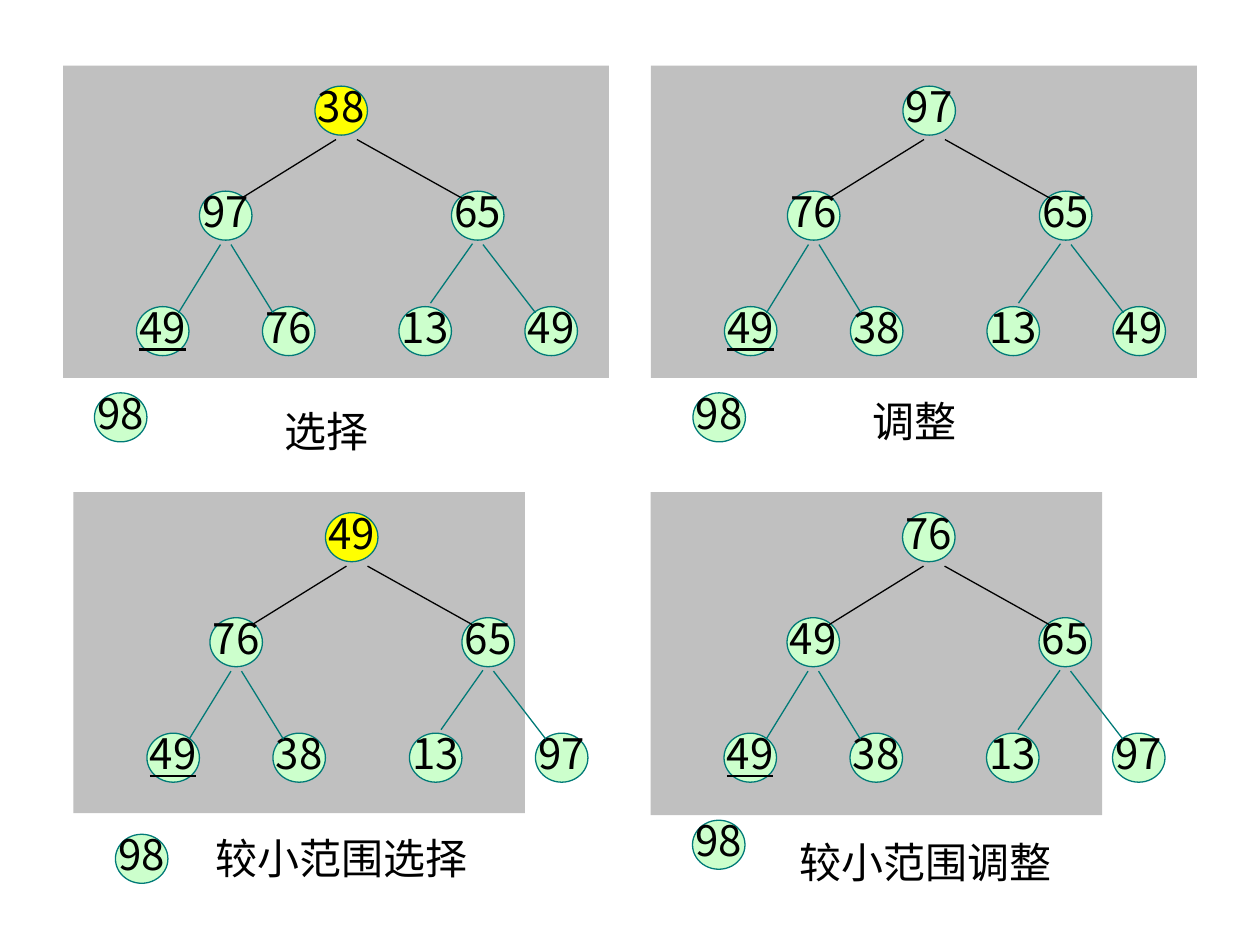
from lxml import etree
from pptx import Presentation
from pptx.dml.color import RGBColor
from pptx.enum.shapes import MSO_CONNECTOR, MSO_SHAPE
from pptx.enum.text import MSO_ANCHOR, MSO_AUTO_SIZE, PP_ALIGN
from pptx.oxml.ns import qn
from pptx.util import Pt

COLORS = {
    "panel": "C0C0C0", "node": "CCFFCC", "selected": "FFFF00",
    "outline": "007A77", "ink": "000000",
}
NODE_FONT, CAPTION_FONT = "Noto Sans CJK SC", "Times New Roman"
NODE_WIDTH, NODE_HEIGHT = 30, 28
TREE_LEFT, TREE_TOP = 42, 11.75

# Heap order: root, its two children, the four leaves (tree offsets)
NODE_SPOTS = [(102, 0), (36, 60), (180, 60),
              (0, 126), (72, 126), (150, 126), (222, 126)]
EDGES = [
    ("ink", (114, 30.5), (60, 64)), ("ink", (126, 30.5), (186, 64)),
    ("outline", (48, 90.5), (24, 129.5)), ("outline", (54, 90.5), (78, 129.5)),
    ("outline", (192, 90), (168, 124)), ("outline", (198, 90.5), (228, 129.5)),
]

# Panel box; heap values; root selected; offset of the removed node;
# caption text and its offset and width
STAGES = [
    ((36, 37.5, 312, 178.5), [38, 97, 65, 49, 76, 13, 49], True,
     (18, 187), "选择", (119.5, 190.75, 90)),
    ((372, 37.5, 312, 178.5), [97, 76, 65, 49, 38, 13, 49], False,
     (24, 187), "调整", (119.5, 185, 90)),
    ((42, 281.25, 258, 183.5), [49, 76, 65, 49, 38, 13, 97], True,
     (24, 195.5), "较小范围选择", (74, 191, 192)),
    ((371.75, 281.25, 258, 184.5), [76, 49, 65, 49, 38, 13, 97], False,
     (24, 187.5), "较小范围调整", (78.25, 193.25, 174)),
]


def color(name):
    return RGBColor.from_string(COLORS[name])


def add_filled(page, kind, box, fill):
    shape = page.shapes.add_shape(kind, *map(Pt, box))
    shape.shadow.inherit = False
    shape.fill.solid()
    shape.fill.fore_color.rgb = color(fill)
    return shape


def add_span(para, text, font):
    span = para.add_run()
    span.text = text
    span.font.name = font
    span.font.size = Pt(24)
    span.font.color.rgb = color("ink")
    return span


def add_node(page, left, top, value, fill="node", underline=False):
    node = add_filled(page, MSO_SHAPE.OVAL,
                      (left, top, NODE_WIDTH, NODE_HEIGHT), fill)
    node.line.color.rgb = color("outline")
    node.line.width = Pt(0.75)
    frame = node.text_frame
    frame.word_wrap = False
    frame.vertical_anchor = MSO_ANCHOR.MIDDLE
    para = frame.paragraphs[0]
    para.alignment = PP_ALIGN.CENTER
    para.line_spacing = 0.8
    span = add_span(para, str(value), NODE_FONT)
    if underline:
        span.font.underline = True


def add_edge(page, left, top, line_color, start, end):
    edge = page.shapes.add_connector(
        MSO_CONNECTOR.STRAIGHT, Pt(left + start[0]), Pt(top + start[1]),
        Pt(left + end[0]), Pt(top + end[1]))
    edge.line.color.rgb = color(line_color)
    edge.line.width = Pt(0.75)
    etree.SubElement(edge._element.spPr, qn("a:effectLst"))


def add_tree(page, left, top, values, root_selected):
    for index, ((dx, dy), value) in enumerate(zip(NODE_SPOTS, values)):
        fill = "selected" if index == 0 and root_selected else "node"
        # The underline tells the first leaf's 49 from the other 49
        add_node(page, left + dx, top + dy, value, fill, underline=index == 3)
    for edge in EDGES:
        add_edge(page, left, top, *edge)


def add_caption(page, left, top, width, text):
    box = page.shapes.add_textbox(Pt(left), Pt(top), Pt(width), Pt(36))
    frame = box.text_frame
    frame.word_wrap = True
    frame.auto_size = MSO_AUTO_SIZE.SHAPE_TO_FIT_TEXT
    add_span(frame.paragraphs[0], text, CAPTION_FONT)


def add_stage(page, box, values, root_selected, removed, caption, caption_box):
    left, top = box[:2]
    # Range still being sorted
    panel = add_filled(page, MSO_SHAPE.RECTANGLE, box, "panel")
    panel.line.fill.background()
    add_tree(page, left + TREE_LEFT, top + TREE_TOP, values, root_selected)
    # Node already taken out, and the caption
    add_node(page, left + removed[0], top + removed[1], 98)
    dx, dy, width = caption_box
    add_caption(page, left + dx, top + dy, width, caption)


def main():
    deck = Presentation()
    deck.slide_width, deck.slide_height = Pt(720), Pt(540)
    page = deck.slides.add_slide(deck.slide_layouts[6])
    for stage in STAGES:
        add_stage(page, *stage)
    deck.save("out.pptx")


if __name__ == "__main__":
    main()
